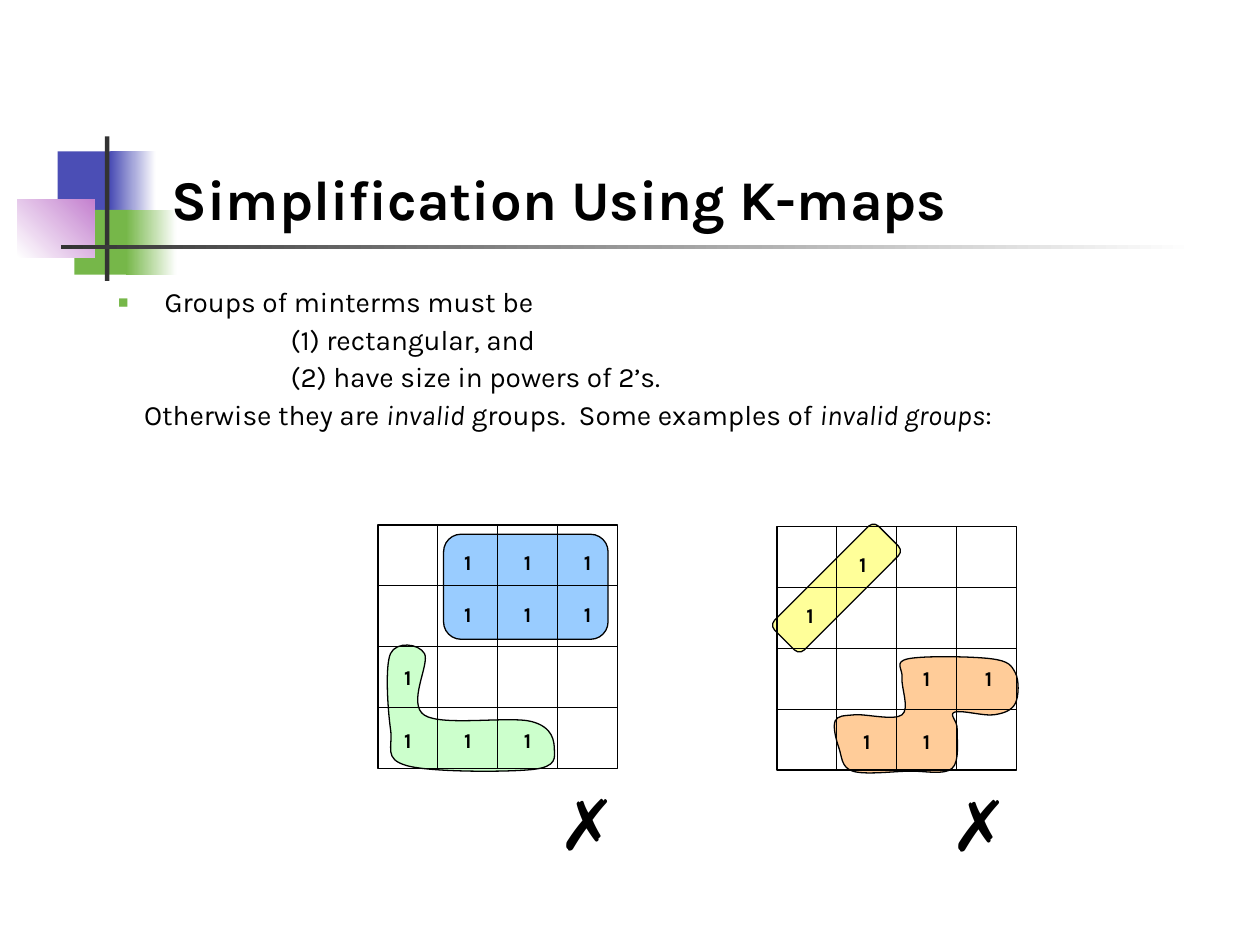
from lxml import etree
from pptx import Presentation
from pptx.dml.color import RGBColor
from pptx.enum import shapes, text
from pptx.oxml import ns
from pptx.util import Pt

INK = {
    "black": "000000", "white": "FFFFFF", "dark": "333333",
    "indigo": "4B4EB5", "green": "76B749", "mauve": "C481CF",
    "blue": "99CCFF", "mint": "CCFFCC", "lemon": "FFFF99", "peach": "FFCC99",
}
FONT = "Karla"
KIND = shapes.MSO_SHAPE
SIDE, TALL = 136.8, 139         # size of a K-map
ROWS = (10.4, 40, 76, 112)      # tops of the digits in each row


def rgb(name):
    return RGBColor.from_string(INK[name])


def style(font, size, face=FONT, bold=False):
    font.name, font.size, font.bold = face, Pt(size), bold
    font.color.rgb = rgb("black")


def paint(shape, fill=None, line="black"):
    shape.shadow.inherit = False
    if fill:
        shape.fill.solid()
        shape.fill.fore_color.rgb = rgb(fill)
    else:
        shape.fill.background()
    if line:
        shape.line.color.rgb = rgb(line)
        shape.line.width = Pt(0.75)
    else:
        shape.line.fill.background()


def label(home, words, x, y, w, h, size, face=FONT, bold=False, align=None):
    frame = home.add_textbox(Pt(x), Pt(y), Pt(w), Pt(h)).text_frame
    frame.word_wrap = True
    para = frame.paragraphs[0]
    para.text, para.alignment = words, align
    style(para.font, size, face, bold)


def decor(slide, x, y):
    """Coloured squares and rules beside the title."""
    parts = [
        # left, top, width, height, first colour, last colour, angle
        (23, 8.5, 34.5, 37.5, "indigo", None, 0),
        (53, 8.5, 26, 37.5, "indigo", "white", 0),
        (32.5, 42, 33, 37, "green", None, 0),
        (62, 42, 29, 37, "green", "white", 0),
        (0, 36, 44, 33, "white", "mauve", 45),
        (50, 0, 2.5, 82.5, "dark", None, 0),
        (25, 62, 648, 2.5, "dark", "white", 0),
    ]
    for dx, dy, w, h, first, last, angle in parts:
        bar = slide.shapes.add_shape(
            KIND.RECTANGLE, Pt(x + dx), Pt(y + dy), Pt(w), Pt(h))
        paint(bar, first, None)
        if last:
            bar.fill.gradient()
            bar.fill.gradient_angle = angle
            for stop, name, pos in zip(bar.fill.gradient_stops, (first, last), (0, 1)):
                stop.color.rgb, stop.position = rgb(name), pos


def head(slide, x, y, w, h):
    title = slide.shapes.title
    slide.shapes.element.append(title.element)  # in front of the squares
    title.left, title.top, title.width, title.height = Pt(x), Pt(y), Pt(w), Pt(h)
    title.text_frame.vertical_anchor = text.MSO_ANCHOR.BOTTOM
    para = title.text_frame.paragraphs[0]
    para.text, para.alignment = "Simplification Using K-maps", text.PP_ALIGN.LEFT
    style(para.font, 32, bold=True)


def body(slide, x, y, w, h):
    """Rule for groups; each line has its left margin, hanging indent and runs."""
    lines = [
        (27, -27, ["Groups of minterms must be"]),
        (99, 0, ["(1) rectangular, and"]),
        (99, 0, ["(2) have size in powers of 2’s."]),
        (15.3, 0, ["Otherwise they are ", "invalid", " groups.  Some examples of ",
                   "invalid groups", ":"]),
    ]
    frame = slide.shapes.add_textbox(Pt(x), Pt(y), Pt(w), Pt(h)).text_frame
    frame.word_wrap = True
    for i, (left, hang, runs) in enumerate(lines):
        para = frame.add_paragraph() if i else frame.paragraphs[0]
        para.line_spacing = 0.9
        if i:
            para.space_before = Pt(4.2)
        props = para._p.get_or_add_pPr()
        props.set("marL", str(Pt(left)))
        props.set("indent", str(Pt(hang)))
        if hang:
            tint = etree.SubElement(props, ns.qn("a:buClr"))
            etree.SubElement(tint, ns.qn("a:srgbClr"), val=INK["green"])
            etree.SubElement(props, ns.qn("a:buSzPct"), val="120000")
            etree.SubElement(props, ns.qn("a:buFont"), typeface="Arial")
            etree.SubElement(props, ns.qn("a:buChar"), char="▪")
        style(para.font, 16)
        for j, words in enumerate(runs):
            run = para.add_run()
            run.text = words
            if j % 2:
                run.font.italic = True


def smooth(home, knots, x, y):
    """Closed outline whose Bezier handles follow the neighbouring knots."""
    count = len(knots)
    spots = []
    for i in range(count):
        before, start, end, after = [knots[(i + k) % count] for k in (-1, 0, 1, 2)]
        spots.append([s + (e - b) / 6 for b, s, e in zip(before, start, end)])
        spots.append([e - (a - s) / 6 for s, e, a in zip(start, end, after)])
        spots.append(end)
    first, *rest = [(Pt(x + a), Pt(y + b)) for a, b in [knots[0]] + spots]
    draft = home.build_freeform(*first)
    draft.add_line_segments(rest, close=True)
    shape = draft.convert_to_shape()
    # Each three points become one curve
    track = next(shape._element.iter(ns.qn("a:path")))
    steps = track.findall(ns.qn("a:lnTo"))
    for i in range(0, len(steps), 3):
        bend = etree.Element(ns.qn("a:cubicBezTo"))
        steps[i].addprevious(bend)
        for step in steps[i:i + 3]:
            bend.append(step[0])
            track.remove(step)
    return shape


def kmap(slide, x, y, blob, pill, ones, cross):
    """A 4 by 4 map with two marked groups, its ones and a cross below."""
    home = slide.shapes.add_group_shape().shapes

    # Marked groups
    fill, knots = blob
    paint(smooth(home, knots, x, y), fill)
    fill, dx, dy, w, h, turn = pill
    patch = home.add_shape(
        KIND.ROUNDED_RECTANGLE, Pt(x + dx), Pt(y + dy), Pt(w), Pt(h))
    patch.rotation = turn
    paint(patch, fill)

    # Frame and grid
    frame = home.add_shape(KIND.RECTANGLE, Pt(x), Pt(y), Pt(SIDE), Pt(TALL))
    paint(frame)
    for i in (1, 2, 3):
        across, down = x + SIDE * i / 4, y + TALL * i / 4
        for ends, sides in (((x, down, x + SIDE, down), (1, 3)),
                            ((across, y, across, y + TALL), (0, 2))):
            rule = home.add_connector(
                shapes.MSO_CONNECTOR.STRAIGHT, *[Pt(v) for v in ends])
            rule.line.color.rgb = rgb("black")
            rule.line.width = Pt(0.75)
            etree.SubElement(rule._element.spPr, ns.qn("a:effectLst"))
            if i == 2:
                rule.begin_connect(frame, sides[0])
                rule.end_connect(frame, sides[1])

    # Ones: row, column and sideways shift
    for row, col, shift in ones:
        label(home, "1", x + col * SIDE / 4 + shift, y + ROWS[row], SIDE / 4, 27,
              12, bold=True, align=text.PP_ALIGN.CENTER)
    label(home, "✗", x + cross, y + 142.2, 42, 55, 40, "Arial")


def main():
    deck = Presentation()
    deck.slide_width, deck.slide_height = Pt(720), Pt(540)
    slide = deck.slides.add_slide(deck.slide_layouts[5])
    decor(slide, 10, 78)
    head(slide, 91, 49, 613, 87)
    body(slide, 60, 161.2, 636, 95)

    # L-shaped group and group of six
    ell = [(88.5, 139.7), (16.5, 137.5), (7.2, 116.6), (7.2, 73.5), (26.6, 73.5),
           (26.6, 108.7), (87.8, 112.3), (100.8, 128.2)]
    kmap(slide, 216, 300, ("mint", ell), ("blue", 37.5, 5.3, 94, 60, 0),
         [(r, c, 0) for r in (0, 1) for c in (1, 2, 3)]
         + [(2, 0, 0)] + [(3, c, 0) for c in (0, 1, 2)], 96)

    # Stepped group and diagonal group
    step = [(122.5, 75.5), (75, 75.5), (71.5, 86.5), (71.5, 107.5), (44.5, 107.5),
            (33.3, 111), (35.5, 126.7), (43.3, 139.7), (75, 139.7), (100, 138.2),
            (103, 116), (101.5, 106), (124, 107.5), (136.2, 101), (136.2, 83.5)]
    kmap(slide, 444, 301, ("peach", step), ("lemon", -8, 23, 84, 24, 315),
         [(0, 1, -2.2), (1, 0, 1.8), (2, 2, 0), (2, 3, 1.2), (3, 1, 0), (3, 2, 0)],
         92)
    deck.save("out.pptx")


if __name__ == "__main__":
    main()
